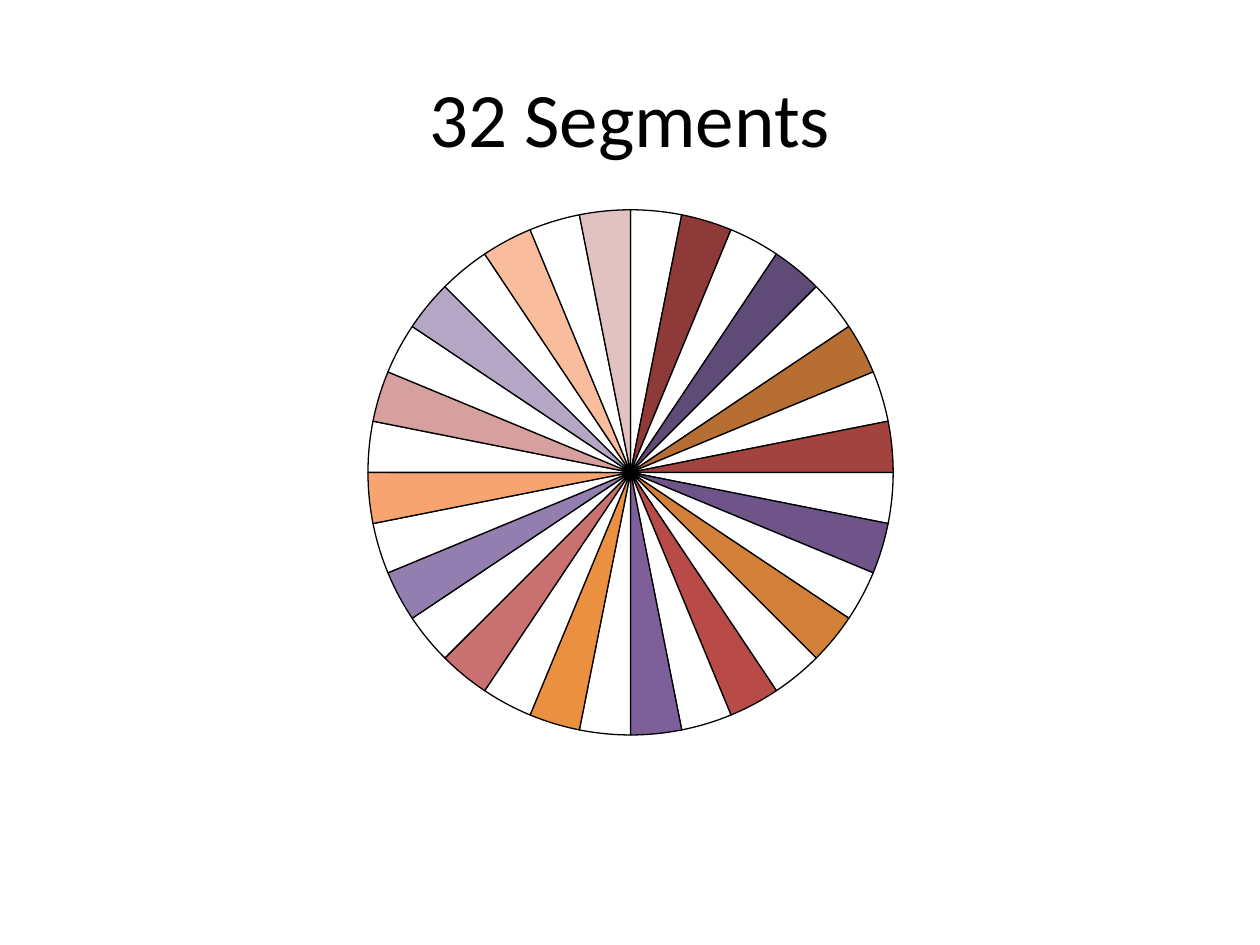
from lxml import etree
from pptx import Presentation
from pptx.chart.data import CategoryChartData as ChartData
from pptx.dml.color import RGBColor
from pptx.enum.chart import XL_CHART_TYPE as ChartType
from pptx.enum.text import MSO_ANCHOR as Anchor, PP_ALIGN as Align
from pptx.oxml.ns import qn
from pptx.util import Inches, Pt

SEGMENTS = 32
FONT = "Calibri"
BLACK, WHITE = "000000", "FFFFFF"
# Every second segment, clockwise from the top, going from dark to light
SHADES = [
    "8E3A38", "5F4A78", "B66E32", "A3433F", "6E5488", "D28038", "B84B47", "7D609A",
    "EB8F41", "C87170", "937FAF", "F7A470", "D6A09F", "B4A7C5", "F9BC9C", "E2C2C1",
]


def color(value):
    return RGBColor.from_string(value)


def style_font(font, size):
    for name, value in {"name": FONT, "size": Pt(size), "bold": False}.items():
        setattr(font, name, value)
    font.color.rgb = color(BLACK)


def add_title(page, text):
    box = page.shapes.add_textbox(Inches(0.5), Inches(0.3), Inches(9), Inches(1.25))
    frame = box.text_frame
    for name, value in {"word_wrap": True, "vertical_anchor": Anchor.MIDDLE}.items():
        setattr(frame, name, value)
    para = frame.paragraphs[0]
    para.alignment = Align.CENTER
    span = para.add_run()
    span.text = text
    style_font(span.font, 44)


def set_plot_area(chart, width, height):
    """Centre the plot area, sized as fractions of the chart."""
    plot_area = chart.plots[0]._element.getparent()
    layout = plot_area.find(qn("c:layout"))
    if layout is None:
        layout = etree.Element(qn("c:layout"))
        plot_area.insert(0, layout)
    manual = etree.SubElement(layout, qn("c:manualLayout"))
    settings = {
        "layoutTarget": "inner", "xMode": "edge", "yMode": "edge",
        "x": round((1 - width) / 2, 4), "y": round((1 - height) / 2, 4),
        "w": width, "h": height,
    }
    for tag, value in settings.items():
        etree.SubElement(manual, qn(f"c:{tag}")).set("val", str(value))


def add_wheel(page):
    data = ChartData()
    data.categories = [str(number) for number in range(1, SEGMENTS + 1)]
    data.add_series("Series 1", [3] * SEGMENTS)
    chart = page.shapes.add_chart(
        ChartType.PIE, Inches(1.67), Inches(1.53), Inches(6.67), Inches(4.44), data
    ).chart
    for name, value in {"has_legend": False, "has_title": False}.items():
        setattr(chart, name, value)
    style_font(chart.font, 18)
    set_plot_area(chart, 0.625, 0.94)

    # White and shaded segments alternate
    plot = chart.plots[0]
    plot.vary_by_categories = True
    for index in range(SEGMENTS):
        segment = plot.series[0].points[index].format
        segment.fill.solid()
        segment.fill.fore_color.rgb = color(SHADES[index // 2] if index % 2 else WHITE)
        segment.line.color.rgb = color(BLACK)
        segment.line.width = Pt(0.75)


def main():
    deck = Presentation()
    deck.slide_width, deck.slide_height = Inches(10), Inches(7.5)
    page = deck.slides.add_slide(deck.slide_layouts[6])
    add_wheel(page)
    add_title(page, f"{SEGMENTS} Segments")
    deck.save("out.pptx")


if __name__ == "__main__":
    main()
